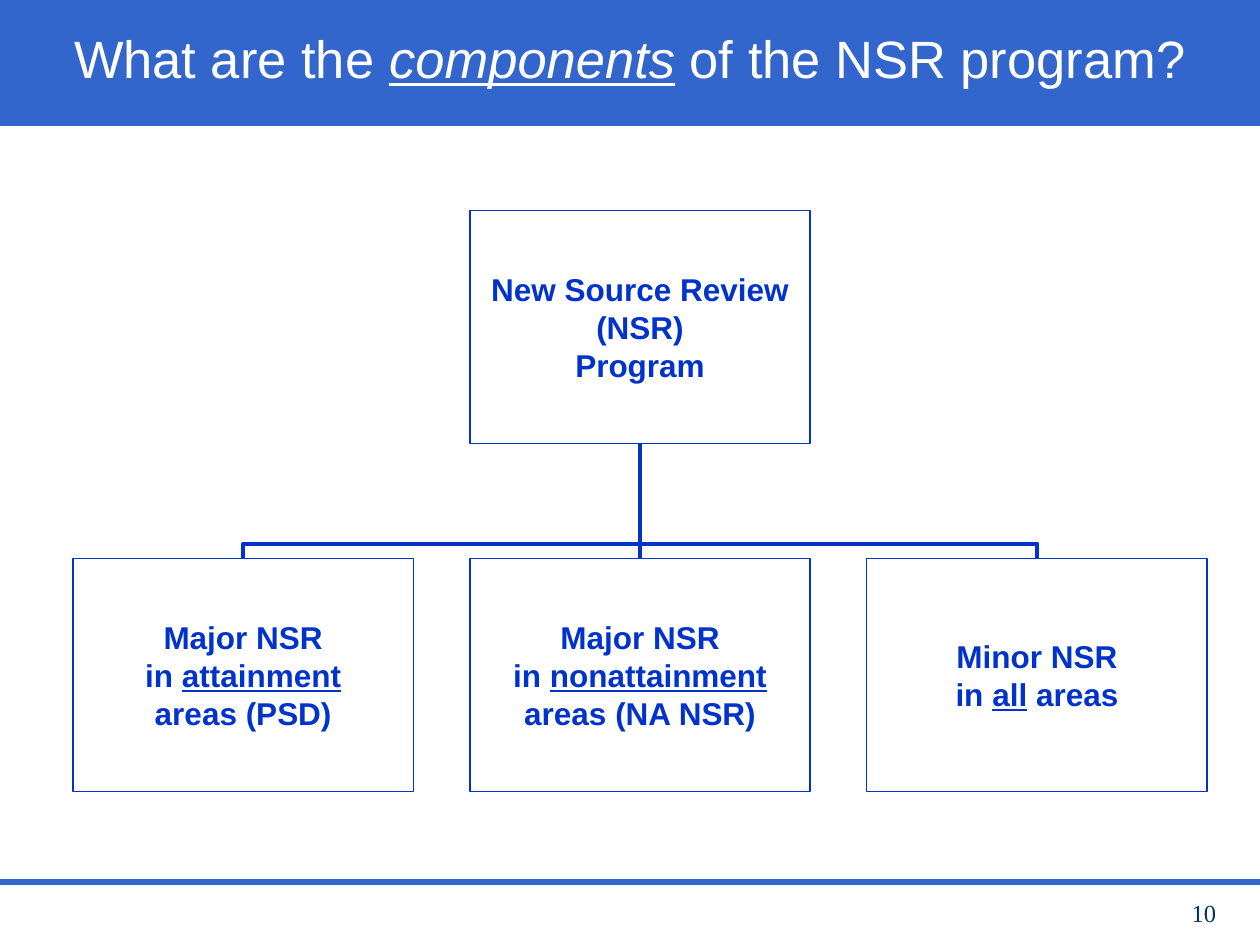
from lxml.etree import SubElement
from pptx import Presentation
from pptx.dml.color import RGBColor
from pptx.enum.shapes import MSO_CONNECTOR, MSO_SHAPE
from pptx.enum.text import MSO_ANCHOR, MSO_AUTO_SIZE, PP_ALIGN
from pptx.oxml.ns import qn
from pptx.util import Inches, Pt

COLORS = {"band": "3366CC", "chart": "0033CC", "title": "FFFFFF", "number": "003366"}

TITLE = [[("What are the ", {}), ("components", {"italic": True, "underline": True}),
          (" of the NSR program?", {})]]
UNDERLINE = {"underline": True}
PROGRAM = [[("New Source Review", {})], [("(NSR)", {})], [("Program", {})]]
COMPONENTS = [
    [[("Major NSR", {})], [("in ", {}), ("attainment", UNDERLINE)], [("areas (PSD)", {})]],
    [[("Major NSR", {})], [("in ", {}), ("nonattainment", UNDERLINE)], [("areas (NA NSR)", {})]],
    [[("Minor NSR", {})], [("in ", {}), ("all", UNDERLINE), (" areas", {})]],
]
NUMBER = [[("10", {})]]

TITLE_FONT = {"name": "Arial", "size": Pt(30), "bold": False}
BOX_FONT = {"name": "Arial", "size": Pt(18), "bold": True}
NUMBER_FONT = {"name": "Times New Roman", "size": Pt(14)}

BOX_W, BOX_H = 2.7, 1.85
FIRST_LEFT, STEP = 0.58, 3.15
PROGRAM_TOP, COMPONENT_TOP = 1.67, 4.43
BEND = 0.127


def rgb(key):
    return RGBColor.from_string(COLORS[key])


def apply(target, formats):
    for attribute, value in formats.items():
        setattr(target, attribute, value)


def write(frame, paragraphs, font, color, align):
    for index, runs in enumerate(paragraphs):
        paragraph = frame.add_paragraph() if index else frame.paragraphs[0]
        paragraph.alignment = align
        for text, emphasis in runs:
            run = paragraph.add_run()
            run.text = text
            apply(run.font, {**font, **emphasis})
            run.font.color.rgb = rgb(color)


def add_box(slide, left, top, paragraphs):
    box = slide.shapes.add_shape(MSO_SHAPE.RECTANGLE, Inches(left), Inches(top),
                                 Inches(BOX_W), Inches(BOX_H))
    box.shadow.inherit = False
    box.fill.background()
    box.line.color.rgb = rgb("chart")
    box.line.width = Pt(0.75)
    apply(box.text_frame, {"margin_left": 0, "margin_right": 0, "margin_top": 0,
                           "margin_bottom": 0, "word_wrap": False,
                           "vertical_anchor": MSO_ANCHOR.MIDDLE})
    write(box.text_frame, paragraphs, BOX_FONT, "chart", PP_ALIGN.CENTER)
    return box


def add_line(slide, kind, start, end, color, width):
    line = slide.shapes.add_connector(kind, *(Inches(value) for value in (*start, *end)))
    line.line.color.rgb = rgb(color)
    line.line.width = Pt(width)
    SubElement(line._element.spPr, qn("a:effectLst"))
    return line


def turn_elbow(elbow, child_x, parent_x):
    span = abs(child_x - parent_x)
    rise = COMPONENT_TOP - PROGRAM_TOP - BOX_H
    center_x = (child_x + parent_x) / 2
    center_y = COMPONENT_TOP - rise / 2
    apply(elbow, {"left": Inches(center_x - rise / 2), "top": Inches(center_y - span / 2),
                  "width": Inches(rise), "height": Inches(span)})
    on_left = child_x < parent_x
    properties = elbow._element.spPr
    frame = properties.find(qn("a:xfrm"))
    frame.set("rot", str((90 if on_left else 270) * 60000))
    frame.set("flipH", "1" if on_left else "0")
    frame.set("flipV", "1")
    adjustments = properties.find(qn("a:prstGeom")).find(qn("a:avLst"))
    SubElement(adjustments, qn("a:gd"), name="adj1", fmla=f"val {round(BEND * 100000)}")


def main():
    deck = Presentation()
    deck.slide_width, deck.slide_height = Inches(10), Inches(7.5)
    slide = deck.slides.add_slide(deck.slide_layouts[5])

    band = slide.shapes.add_shape(MSO_SHAPE.RECTANGLE, 0, 0, Inches(10), Inches(1))
    band.shadow.inherit = False
    band.fill.solid()
    band.fill.fore_color.rgb = rgb("band")
    band.line.fill.background()
    slide.shapes._spTree.insert(2, band._element)
    add_line(slide, MSO_CONNECTOR.STRAIGHT, (0, 7), (10, 7), "band", 3)

    title = slide.shapes.title
    apply(title, {"left": 0, "top": 0, "width": Inches(10), "height": Inches(0.92)})
    apply(title.text_frame, {"auto_size": MSO_AUTO_SIZE.NONE, "word_wrap": True,
                             "vertical_anchor": MSO_ANCHOR.MIDDLE})
    write(title.text_frame, TITLE, TITLE_FONT, "title", PP_ALIGN.CENTER)

    program_left = FIRST_LEFT + STEP
    program_x = program_left + BOX_W / 2
    program = add_box(slide, program_left, PROGRAM_TOP, PROGRAM)
    for index, paragraphs in enumerate(COMPONENTS):
        left = FIRST_LEFT + index * STEP
        component = add_box(slide, left, COMPONENT_TOP, paragraphs)
        component_x = left + BOX_W / 2
        aligned = index == 1
        kind = MSO_CONNECTOR.STRAIGHT if aligned else MSO_CONNECTOR.ELBOW
        link = add_line(slide, kind, (component_x, COMPONENT_TOP),
                        (program_x, PROGRAM_TOP + BOX_H), "chart", 2.25)
        link.begin_connect(component, 0)
        link.end_connect(program, 2)
        if not aligned:
            turn_elbow(link, component_x, program_x)

    number = slide.shapes.add_textbox(Inches(7.42), Inches(7.08), Inches(2.33), Inches(0.25))
    number.text_frame.word_wrap = True
    write(number.text_frame, NUMBER, NUMBER_FONT, "number", PP_ALIGN.RIGHT)

    deck.save("out.pptx")


if __name__ == "__main__":
    main()
